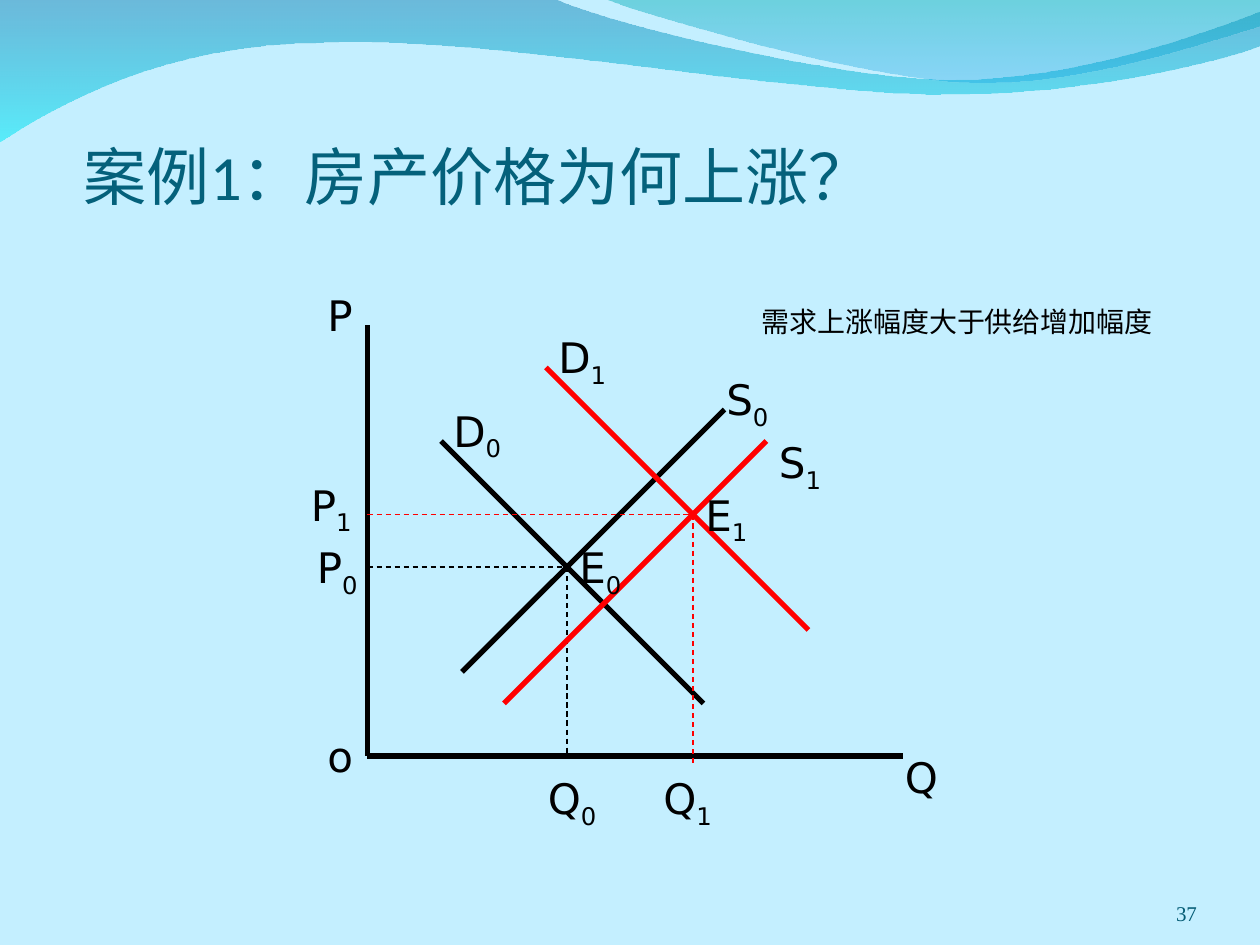
from dataclasses import dataclass

from lxml import etree
from pptx import Presentation
from pptx import util as u
from pptx.dml.color import RGBColor
from pptx.enum import dml, shapes, text
from pptx.oxml import ns
from pptx.slide import Slide
from pptx.text.text import TextFrame

Pt = u.Pt
Point = tuple[float, float]

SKY = RGBColor(0xC4, 0xEF, 0xFF)
TITLE_TEAL = RGBColor(0x04, 0x61, 0x7B)
NUMBER_TEAL = RGBColor(0x04, 0x5C, 0x75)
BLACK = RGBColor(0, 0, 0)
RED = RGBColor(0xFF, 0, 0)
DEEP_BLUE = RGBColor(0x00, 0x79, 0xAF)
CYAN = RGBColor(0x00, 0xEB, 0xF8)
SEA_GREEN = RGBColor(0x00, 0xAD, 0xB6)
BRIGHT_BLUE = RGBColor(0x00, 0x9B, 0xE5)

ORIGIN = (210, 432)
E0 = (324, 324)
E1 = (396, 294)


@dataclass(frozen=True)
class Tint:
    color: RGBColor
    opacity: int


@dataclass(frozen=True)
class Wave:
    start: Point
    segments: list[list[Point]]
    top: Tint
    bottom: Tint


@dataclass(frozen=True)
class Line:
    start: Point
    end: Point
    color: RGBColor = BLACK
    dashed: bool = False


@dataclass(frozen=True)
class Label:
    letter: str
    left: float
    top: float
    subscript: str = ""


WAVES = [
    Wave(
        (0, -0.7),
        [
            [(316.8, -0.7)],
            [(342.7, 12.2), (478.1, 45.4), (545.8, 45.4)],
            [(614.2, 45.4), (689.8, 18.7), (720, 6.5)],
            [(720.7, 25.9)],
            [(707.8, 31.7), (626.4, 54.7), (537.1, 54)],
            [(447.8, 54), (275, 20.2), (185, 24.5)],
            [(92.9, 25.2), (33.1, 59.8), (-0.7, 81.4)],
            [(0, -0.7)],
        ],
        Tint(DEEP_BLUE, 45),
        Tint(CYAN, 55),
    ),
    Wave(
        (344.9, -0.7),
        [
            [(366.5, 7.9), (491, 44.6), (553.7, 46.8)],
            [(616.3, 49.7), (691.9, 23), (720, 15.1)],
            [(720, 0)],
            [(344.9, -0.7)],
        ],
        Tint(SEA_GREEN, 45),
        Tint(BRIGHT_BLUE, 30),
    ),
]

LINES = [
    Line((210, 186), ORIGIN),
    Line(ORIGIN, (516, 432)),
    Line((252, 252), (402, 402)),
    Line((264, 384), (414, 234)),
    Line((ORIGIN[0], E0[1]), E0, dashed=True),
    Line(E0, (E0[0], ORIGIN[1]), dashed=True),
    Line((288, 402), (438, 252), RED),
    Line((312, 210), (462, 360), RED),
    Line((ORIGIN[0], E1[1]), E1, RED, dashed=True),
    Line(E1, (E1[0], 438), RED, dashed=True),
]

LABELS = [
    Label("o", 180, 414),
    Label("Q", 510, 426),
    Label("P", 180, 162),
    Label("S", 408, 210, "0"),
    Label("S", 438, 246, "1"),
    Label("D", 252, 228, "0"),
    Label("D", 312, 186, "1"),
    Label("E", 324, 306, "0"),
    Label("E", 396, 276, "1"),
    Label("P", 174, 306, "0"),
    Label("P", 170.6, 270.3, "1"),
    Label("Q", 306, 438, "0"),
    Label("Q", 372, 438, "1"),
]


def draw_wave(page: Slide, wave: Wave) -> None:
    corners = [(Pt(x), Pt(y)) for segment in wave.segments for x, y in segment]
    builder = page.shapes.build_freeform(Pt(wave.start[0]), Pt(wave.start[1]))
    builder.add_line_segments(corners, close=True)
    shape = builder.convert_to_shape()
    bend_outline(shape.element, wave.segments)
    shape.shadow.inherit = False
    shape.line.fill.background()
    shape.fill.gradient()
    shape.fill.gradient_angle = 270
    tints = (wave.top, wave.bottom)
    for stop, tint in zip(shape.fill.gradient_stops, tints):
        stop.color.rgb = tint.color
    for color, tint in zip(shape.element.iter(ns.qn("a:srgbClr")), tints):
        etree.SubElement(color, ns.qn("a:alpha"), val=str(tint.opacity * 1000))


def bend_outline(element: etree.ElementBase, segments: list[list[Point]]) -> None:
    steps = iter(list(element.iter(ns.qn("a:lnTo"))))
    for segment in segments:
        group = [next(steps) for _ in segment]
        if len(group) == 3:
            curve = etree.Element(ns.qn("a:cubicBezTo"))
            group[0].addprevious(curve)
            for step in group:
                curve.append(step[0])
                step.getparent().remove(step)


def draw_line(page: Slide, line: Line) -> None:
    ends = [Pt(value) for value in (*line.start, *line.end)]
    connector = page.shapes.add_connector(shapes.MSO_CONNECTOR.STRAIGHT, *ends)
    connector.line.color.rgb = line.color
    connector.line.width = Pt(0.74 if line.dashed else 3)
    if line.dashed:
        connector.line.dash_style = dml.MSO_LINE.DASH
    etree.SubElement(connector.element.spPr, ns.qn("a:effectLst"))


def add_span(frame: TextFrame, words: str, size: float, font: str, color: RGBColor):
    span = frame.paragraphs[0].add_run()
    span.text = words
    span.font.size = Pt(size)
    span.font.name = font
    span.font.color.rgb = color
    return span


def anchor_bottom(frame: TextFrame, top_margin: float) -> None:
    frame.word_wrap = True
    frame.auto_size = text.MSO_AUTO_SIZE.NONE
    frame.vertical_anchor = text.MSO_ANCHOR.BOTTOM
    frame.margin_left = frame.margin_right = frame.margin_bottom = 0
    frame.margin_top = Pt(top_margin)


def draw_label(page: Slide, label: Label) -> None:
    width, height = (72, 40.3) if label.subscript else (42, 36)
    box = page.shapes.add_textbox(Pt(label.left), Pt(label.top), Pt(width), Pt(height))
    frame = box.text_frame
    frame.word_wrap = True
    frame.auto_size = text.MSO_AUTO_SIZE.SHAPE_TO_FIT_TEXT
    add_span(frame, label.letter, 24, "DejaVu Sans", BLACK)
    if label.subscript:
        span = add_span(frame, label.subscript, 24, "DejaVu Sans", BLACK)
        span.font._element.set("baseline", "-25000")


def main() -> None:
    deck = Presentation()
    deck.slide_width, deck.slide_height = Pt(720), Pt(540)
    page = deck.slides.add_slide(deck.slide_layouts[5])
    page.background.fill.solid()
    page.background.fill.fore_color.rgb = SKY
    for wave in WAVES:
        draw_wave(page, wave)

    title = page.shapes.title
    title.left, title.top, title.width, title.height = Pt(48), Pt(70), Pt(648), Pt(52)
    anchor_bottom(title.text_frame, 3.6)
    title.text_frame.paragraphs[0].alignment = text.PP_ALIGN.LEFT
    add_span(title.text_frame, "案例1：房产价格为何上涨？", 36, "Calibri", TITLE_TEAL)

    for line in LINES:
        draw_line(page, line)
    for label in LABELS:
        draw_label(page, label)

    note = page.shapes.add_textbox(Pt(435.3), Pt(163.5), Pt(243.4), Pt(29.5))
    anchor_bottom(note.text_frame, 3.6)
    add_span(note.text_frame, "需求上涨幅度大于供给增加幅度", 16, "Calibri", BLACK)

    number = page.shapes.add_textbox(Pt(624), Pt(500.4), Pt(60), Pt(28.8))
    anchor_bottom(number.text_frame, 0)
    number.text_frame.paragraphs[0].alignment = text.PP_ALIGN.RIGHT
    add_span(number.text_frame, "37", 12, "Times New Roman", NUMBER_TEAL)
    deck.save("out.pptx")


if __name__ == "__main__":
    main()
